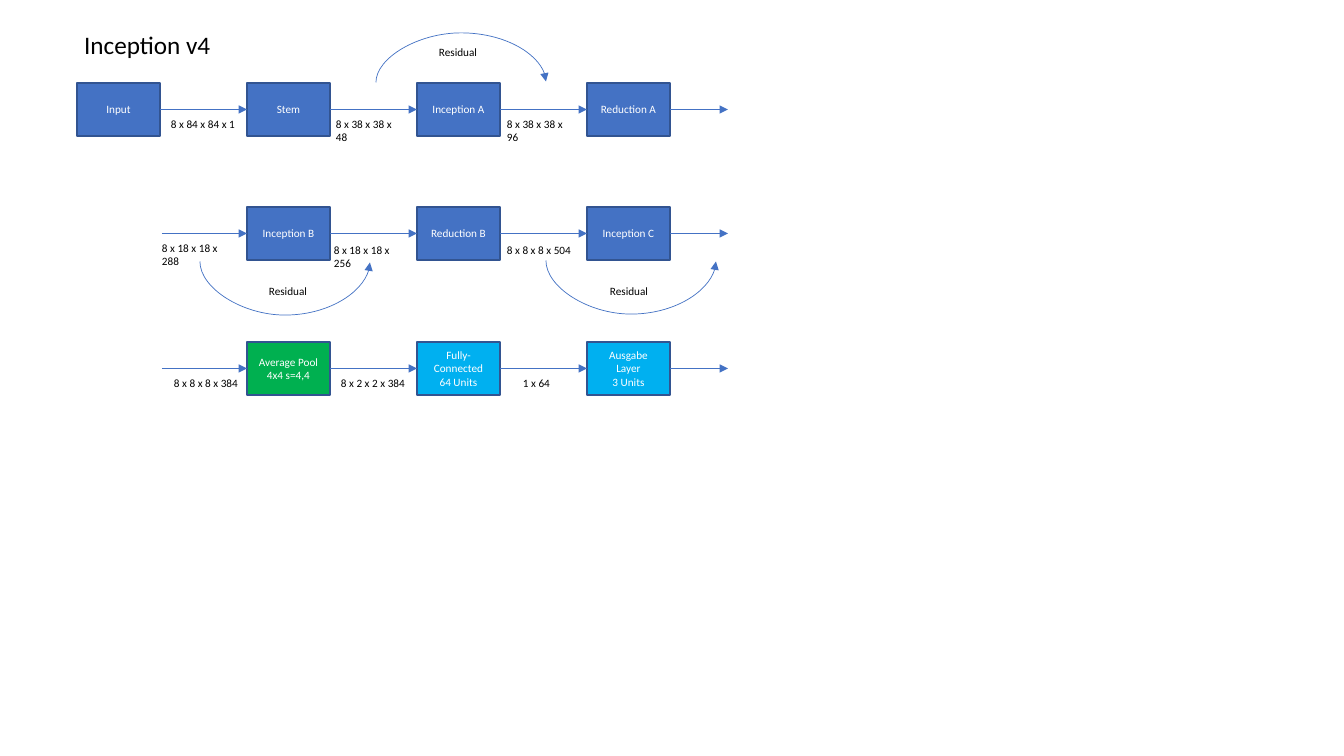
from lxml.etree import SubElement
from pptx import Presentation
from pptx.dml.color import RGBColor
from pptx.enum.shapes import MSO_CONNECTOR, MSO_SHAPE
from pptx.enum.text import MSO_ANCHOR, MSO_AUTO_SIZE, PP_ALIGN
from pptx.oxml.ns import qn
from pptx.util import Pt

SCALE = 914400 / 100.8
BLUE = RGBColor(0x44, 0x72, 0xC4)
EDGE = RGBColor(0x32, 0x54, 0x91)
GREEN = RGBColor(0x00, 0xB0, 0x50)
CYAN = RGBColor(0x00, 0xB0, 0xF0)
WHITE = RGBColor(0xFF, 0xFF, 0xFF)
BLACK = RGBColor(0x00, 0x00, 0x00)
BOX_W, BOX_H, PITCH = 83, 53, 170
LABEL_W, LABEL_H = 88, 24
LEAD, TAIL = 85, 58


def px(n):
    """Turn px into EMU."""
    return round(n * SCALE)


def write(tf, text, size, color, align, anchor):
    """Put formatted text in a text frame."""
    tf.text = text
    tf.word_wrap = True
    tf.auto_size = MSO_AUTO_SIZE.NONE
    tf.vertical_anchor = anchor
    for p in tf.paragraphs:
        p.alignment = align
        for r in p.runs:
            r.font.name = "Calibri"
            r.font.size = Pt(size)
            r.font.color.rgb = color


def add_title(s, text, x, y, w, h):
    """Place the slide title."""
    t = s.shapes.title
    t.left, t.top, t.width, t.height = px(x), px(y), px(w), px(h)
    write(t.text_frame, text, 18, BLACK, PP_ALIGN.LEFT, MSO_ANCHOR.TOP)


def add_box(s, text, fill, x, y):
    """Draw one layer box."""
    sp = s.shapes.add_shape(MSO_SHAPE.RECTANGLE, px(x), px(y), px(BOX_W), px(BOX_H))
    sp.shadow.inherit = False
    sp.fill.solid()
    sp.fill.fore_color.rgb = fill
    sp.line.color.rgb = EDGE
    sp.line.width = Pt(1)
    write(sp.text_frame, text, 8, WHITE, PP_ALIGN.CENTER, MSO_ANCHOR.MIDDLE)
    return sp


def add_label(s, text, x, y, w=LABEL_W):
    """Write a small label."""
    tb = s.shapes.add_textbox(px(x), px(y), px(w), px(LABEL_H))
    write(tb.text_frame, text, 8, BLACK, PP_ALIGN.LEFT, MSO_ANCHOR.TOP)


def add_arrow(s, kind, x1, y1, x2, y2):
    """Draw a thin connector with an arrowhead at its end."""
    c = s.shapes.add_connector(kind, px(x1), px(y1), px(x2), px(y2))
    c.line.color.rgb = BLUE
    c.line.width = Pt(0.5)
    SubElement(c.line._get_or_add_ln(), qn("a:tailEnd"), type="triangle")
    SubElement(c._element.spPr, qn("a:effectLst"))
    return c


def add_row(s, x, y, first, layers, labels, leads_in):
    """Draw a row of joined layers and its size labels."""
    mid = y + BOX_H / 2
    lefts = [x + PITCH * (first + i) for i in range(len(layers))]
    boxes = [add_box(s, text, fill, left, y) for (text, fill), left in zip(layers, lefts)]
    if leads_in:
        c = add_arrow(s, MSO_CONNECTOR.STRAIGHT, lefts[0] - LEAD, mid, lefts[0], mid)
        c.end_connect(boxes[0], 1)
    for left, a, b in zip(lefts, boxes, boxes[1:]):
        c = add_arrow(s, MSO_CONNECTOR.STRAIGHT, left + BOX_W, mid, left + PITCH, mid)
        c.begin_connect(a, 3)
        c.end_connect(b, 1)
    end = lefts[-1] + BOX_W
    c = add_arrow(s, MSO_CONNECTOR.STRAIGHT, end, mid, end + TAIL, mid)
    c.begin_connect(boxes[-1], 3)
    for text, dx, dy in labels:
        add_label(s, text, x + dx, y + dy)


def add_residual(s, x, y, bulge, up, label_x, label_y):
    """Draw a curved skip arrow from x, y and its label."""
    cx = x + PITCH / 2
    half = PITCH / 2 if up else -PITCH / 2
    c = add_arrow(s, MSO_CONNECTOR.CURVE, cx + 0.5, y + half, cx - 0.5, y - half)
    spPr = c._element.spPr
    spPr.find(qn("a:xfrm")).set("rot", str((90 if up else 270) * 60000))
    adjust = spPr.find(qn("a:prstGeom")).find(qn("a:avLst"))
    SubElement(adjust, qn("a:gd"), name="adj1", fmla=f"val {bulge * 100000}")
    add_label(s, "Residual", label_x, label_y, 62)


def add_network(s, x, y):
    """Draw the three rows of layers with their skip arrows."""
    add_row(s, x, y, 0,
            [("Input", BLUE), ("Stem", BLUE), ("Inception A", BLUE), ("Reduction A", BLUE)],
            [("8 x 84 x 84 x 1", 84, 29), ("8 x 38 x 38 x 48", 249, 29),
             ("8 x 38 x 38 x 96", 420, 29)], False)
    add_row(s, x, y + 124, 1,
            [("Inception B", BLUE), ("Reduction B", BLUE), ("Inception C", BLUE)],
            [("8 x 18 x 18 x 288", 75, 29), ("8 x 18 x 18 x 256", 247, 31),
             ("8 x 8 x 8 x 504", 420, 31)], True)
    add_row(s, x, y + 259, 1,
            [("Average Pool\n4x4 s=4,4", GREEN), ("Fully-Connected\n64 Units", CYAN),
             ("Ausgabe Layer\n3 Units", CYAN)],
            [("8 x 8 x 8 x 384", 87, 29), ("8 x 2 x 2 x 384", 254, 29),
             ("1 x 64", 436, 29)], True)
    add_residual(s, x + 299, y - 1, 50, True, x + 352, y - 43)
    add_residual(s, x + 123, y + 179, 54, False, x + 182, y + 196)
    add_residual(s, x + 469, y + 178, 54, False, x + 523, y + 196)


def main():
    """Build and save the slide."""
    prs = Presentation()
    prs.slide_width, prs.slide_height = px(1344), px(756)
    s = prs.slides.add_slide(prs.slide_layouts[5])
    add_title(s, "Inception v4", 74, 24, 150, 40)
    add_network(s, 77, 83)
    prs.save("out.pptx")


if __name__ == "__main__":
    main()
